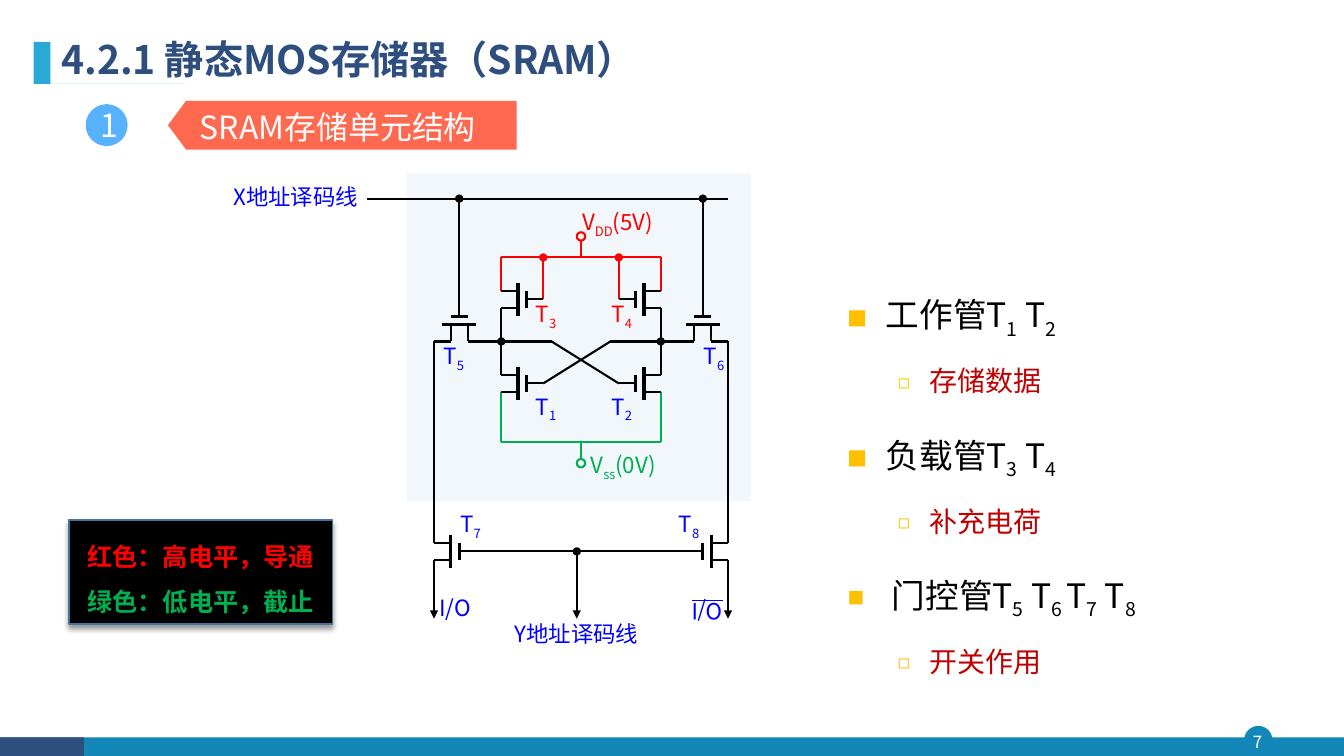
from lxml import etree
from pptx import Presentation
from pptx.dml.color import RGBColor
from pptx.enum.shapes import MSO_CONNECTOR, MSO_SHAPE
from pptx.enum.text import MSO_ANCHOR, PP_ALIGN
from pptx.oxml.ns import qn
from pptx.util import Emu, Inches, Pt

LINE = MSO_CONNECTOR.STRAIGHT
RECT, OVAL, PLATE = MSO_SHAPE.RECTANGLE, MSO_SHAPE.OVAL, MSO_SHAPE.PENTAGON
TOP, MID = MSO_ANCHOR.TOP, MSO_ANCHOR.MIDDLE
LEFT, CENTER = PP_ALIGN.LEFT, PP_ALIGN.CENTER

BLACK = RGBColor(0, 0, 0)
WHITE = RGBColor(255, 255, 255)
RED = RGBColor(255, 0, 0)
GREEN = RGBColor(0, 0xB0, 0x50)
BLUE = RGBColor(0, 0, 255)
NAVY = RGBColor(0x2E, 0x4E, 0x7E)
TEAL = RGBColor(0x13, 0x87, 0xB7)
CYAN = RGBColor(0x28, 0xA9, 0xD6)
STEEL = RGBColor(0x43, 0x73, 0x9E)
PALE = RGBColor(0xBD, 0xD7, 0xEE)
SKY = RGBColor(0x59, 0xB2, 0xFF)
CORAL = RGBColor(0xFF, 0x69, 0x50)
GOLD = "FFC000"
WINE = RGBColor(0xC0, 0, 0)

FONT = "Noto Sans CJK SC"
COLS, ROWS = 160, 90
CELL = Inches(13.33333) // COLS
SPAN = 35  # columns between the two bit lines


def child(node, tag, **attrs):
    return etree.SubElement(node, qn(tag), attrs)


def write(para, text, size=16, color=BLUE, bold=False, under=False):
    """Add runs to a paragraph; parts between underscores are subscripts."""
    for i, part in enumerate(text.split("_")):
        if not part:
            continue
        run = para.add_run()
        run.text = part
        font = run.font
        font.name, font.size = FONT, Pt(size)
        font.bold, font.underline = bold, under
        font.color.rgb = color
        props = run._r.get_or_add_rPr()
        child(props, "a:ea", typeface=FONT)
        if i % 2:
            props.set("baseline", "-25000")


def bullet(para, mark, share, left, hang):
    props = para._p.get_or_add_pPr()
    props.set("marL", str(Inches(left)))
    props.set("indent", str(-Inches(hang)))
    child(child(props, "a:buClr"), "a:srgbClr", val=GOLD)
    child(props, "a:buSzPct", val=str(share * 1000))
    child(props, "a:buFont", typeface=FONT)
    child(props, "a:buChar", char=mark)


class Page:
    """One slide, measured in grid cells from a movable origin."""

    def __init__(self, deck):
        self.shapes = deck.slides.add_slide(deck.slide_layouts[6]).shapes
        self.move(0, 0)

    def move(self, col, row):
        self.col, self.row = col, row

    def spot(self, x, y):
        return Emu(round((self.col + x) * CELL)), Emu(round((self.row + y) * CELL))

    def area(self, x, y, w, h):
        return *self.spot(x, y), Emu(round(w * CELL)), Emu(round(h * CELL))

    def paint(self, shape, fill, line=None, width=1):
        shape.shadow.inherit = False
        if fill is None:
            shape.fill.background()
        else:
            shape.fill.solid()
            shape.fill.fore_color.rgb = fill
        if line is None:
            shape.line.fill.background()
        else:
            shape.line.color.rgb = line
            shape.line.width = Pt(width)
        return shape

    def shape(self, kind, box, fill, line=None, width=1):
        return self.paint(self.shapes.add_shape(kind, *self.area(*box)), fill, line, width)

    def free(self, points, fill):
        pen = self.shapes.build_freeform(*points[0], scale=CELL)
        pen.add_line_segments(points[1:], close=True)
        return self.paint(pen.convert_to_shape(), fill)

    def wire(self, ends, color=BLACK, head=None, tail=None, width=1.5):
        x1, y1, x2, y2 = ends
        line = self.shapes.add_connector(LINE, *self.spot(x1, y1), *self.spot(x2, y2))
        line.line.color.rgb = color
        line.line.width = Pt(width)
        stroke = line.line._get_or_add_ln()
        for tag, kind in (("a:headEnd", head), ("a:tailEnd", tail)):
            if kind:
                child(stroke, tag, type=kind)
        child(line._element.spPr, "a:effectLst")

    def text(self, box, lines, inset=(1.2, 0.6), anchor=TOP, align=LEFT,
             space=None, wrap=True):
        """Add a text box; each line is a text with its format."""
        item = self.shapes.add_textbox(*self.area(*box))
        frame = item.text_frame
        frame.word_wrap, frame.vertical_anchor = wrap, anchor
        frame.margin_left = frame.margin_right = round(inset[0] * CELL)
        frame.margin_top = frame.margin_bottom = round(inset[1] * CELL)
        for i, (words, style) in enumerate(lines):
            para = frame.add_paragraph() if i else frame.paragraphs[0]
            para.alignment, para.line_spacing = align, space
            write(para, words, **style)
        return item

    def label(self, box, words, **style):
        return self.text(box, [(words, style)], inset=(0.12, 0.12))


def flip(ends):
    x1, y1, x2, y2 = ends
    return SPAN - x1, y1, SPAN - x2, y2


def upright(y, x):
    """Wires of a transistor whose channel stands upright, with widths."""
    return [((x + 2, y - 2, x + 2, y + 2), 2.25), ((x + 3, y - 1, x + 3, y + 1), 2.25),
            ((x, y - 1, x + 2, y - 1), 1.5), ((x, y + 1, x + 2, y + 1), 1.5),
            ((x + 3, y, x + 5, y), 1.5)]


GATE = [((1, 15, 5, 15), 2.25), ((2, 14, 4, 14), 2.25), ((2, 15, 2, 17), 1.5),
        ((4, 15, 4, 17), 1.5), ((3, 12, 3, 14), 1.5)]
HALF = [((8, 7, 8, 11), RED), ((13, 7, 13, 12), RED, "oval"),
        ((8, 13, 8, 17),), ((8, 17, 8, 21),), ((8, 17, 14, 17),), ((14, 17, 22, 22),),
        ((8, 23, 8, 29), GREEN), ((4, 17, 8, 17), BLACK, None, "oval"),
        ((0, 17, 0, 41),), ((2, 17, 0, 17),), ((3, 0, 3, 12), BLACK, "oval"),
        ((0, 43, 0, 50), BLACK, None, "triangle")]
WHOLE = [((-8, 0, SPAN, 0),), ((8, 7, 27, 7), RED), ((8, 29, 27, 29), GREEN),
         ((17.5, 29, 17.5, 31), GREEN), ((17.5, 7, 17.5, 5), RED),
         ((5, 42, 30, 42),), ((17, 42, 17, 50), BLACK, "oval", "triangle")]
TUBES = [(1, 12, 23, BLUE), (2, 21, 23, BLUE), (3, 12, 12, RED), (4, 21, 12, RED),
         (5, 1, 17, BLUE), (6, 32, 17, BLUE), (7, 3, 37, BLUE), (8, 29, 37, BLUE)]
NOTES = [("工作管T_1_ T_2", "存储数据", 60, 0.38),
         ("负载管T_3_ T_4", "补充电荷", 60, 0.38),
         ("门控管T_5_ T_6 _T_7_ T_8", "开关作用", 50, 0.44)]
MARK = [(6.5, 4.7), (6.5, 10.2), (22.4, 10.2), (22.4, 10.4), (6.2, 10.4), (6.2, 4.9),
        (5.6, 4.9), (5.6, 10.4), (4.3, 10.4), (4.3, 4.7), (4.7, 4.7), (4.7, 10.1),
        (5.3, 10.1), (5.3, 4.7)]


def frame(page):
    page.shape(OVAL, (148.2, 86.5, 3.2, 3.2), TEAL, TEAL)
    page.shape(RECT, (0, 87.8, COLS, 2.2), TEAL)
    page.shape(RECT, (0, 87.8, 10, 2.2), NAVY)
    page.text((147.8, 86.5, 3.8, 3.7), [("7", dict(size=12, color=WHITE))],
              inset=(0, 0), anchor=MID, align=CENTER)
    page.free(MARK, CYAN)
    page.text((6.1, 3.2, 86.8, 8.2),
              [("4.2.1 静态MOS存储器（SRAM）", dict(size=28, color=NAVY, bold=True))],
              anchor=MID, space=0.9)


def heading(page):
    look = dict(size=22.8, color=WHITE)
    page.shape(OVAL, (10.2, 12.4, 5, 5), SKY)
    page.text((10.5, 12.4, 5, 5), [("1", look)], inset=(0, 0), anchor=MID, align=CENTER)
    plate = page.shape(PLATE, (20, 12, 41.5, 5.8), CORAL)
    plate.adjustments[0] = 0.37
    plate.rotation = 180
    page.text((22.6, 12.2, 39.1, 5.8), [("SRAM存储单元结构", look)])


def circuit(page):
    page.move(51.67, 23.65)
    back = page.shape(RECT, (-3.2, -3, 41, 39), PALE)
    tint = back._element.spPr.find(qn("a:solidFill"))[0]
    child(tint, "a:alpha", val="20000")
    for ends, *style in WHOLE:
        page.wire(ends, *style)
    parts = upright(12, 8) + upright(22, 8) + upright(42, 0) + GATE
    for turn in (tuple, flip):
        for ends, *style in HALF:
            page.wire(turn(ends), *style)
        for ends, width in parts:
            page.wire(turn(ends), width=width)
    page.shape(OVAL, (17, 31, 1, 1), None, GREEN, 1.5)
    page.shape(OVAL, (17, 4, 1, 1), None, RED, 1.5)
    for number, x, y, color in TUBES:
        page.label((x, y, 3, 4), f"T_{number}", color=color)
    page.label((17.5, 1, 9.5, 6), "V_DD_(5V)", color=RED)
    page.label((18.5, 30, 9.5, 6), "V_ss_(0V)", color=GREEN)
    page.label((0.5, 47, 4.5, 3), "I/O")
    page.label((30, 48, 4.5, 3), "O/I", under=True).rotation = 180
    page.label((9.5, 50, 18, 3), "Y地址译码线")
    page.label((-24, -2, 16, 3), "X地址译码线")
    page.move(0, 0)


def legend(page):
    card = page.shape(RECT, (8.2, 61.9, 31.4, 12.4), BLACK, STEEL)
    glow = child(card._element.spPr.find(qn("a:effectLst")), "a:outerShdw",
                 blurRad=str(Pt(4)), dist=str(Pt(3)), dir="5400000", rotWithShape="0")
    child(child(glow, "a:srgbClr", val="000000"), "a:alpha", val="40000")
    page.text((9.2, 62, 29.6, 12.1),
              [("红色：高电平，导通", dict(size=18, color=RED, bold=True)),
               ("绿色：低电平，截止", dict(size=18, color=GREEN, bold=True))],
              space=1.5, wrap=False)


def notes(page):
    lines = []
    for tube, role, *_ in NOTES:
        lines += [(tube, dict(size=24, color=BLACK)), (role, dict(size=20, color=WINE))]
    paras = page.text((99.7, 31.7, 44.9, 38.5), lines, space=1.5).text_frame.paragraphs
    for i, (_, _, share, left) in enumerate(NOTES):
        main, sub = paras[2 * i:2 * i + 2]
        main.space_before, sub.space_before = Pt(10 if i else 0), Pt(5)
        sub.level = 1
        bullet(main, "■", share, left, left)
        bullet(sub, "◻", 70, 0.81, 0.31)


def main():
    deck = Presentation()
    deck.slide_width, deck.slide_height = COLS * CELL, ROWS * CELL
    page = Page(deck)
    for draw in (frame, notes, circuit, legend, heading):
        draw(page)
    deck.save("out.pptx")


if __name__ == "__main__":
    main()
